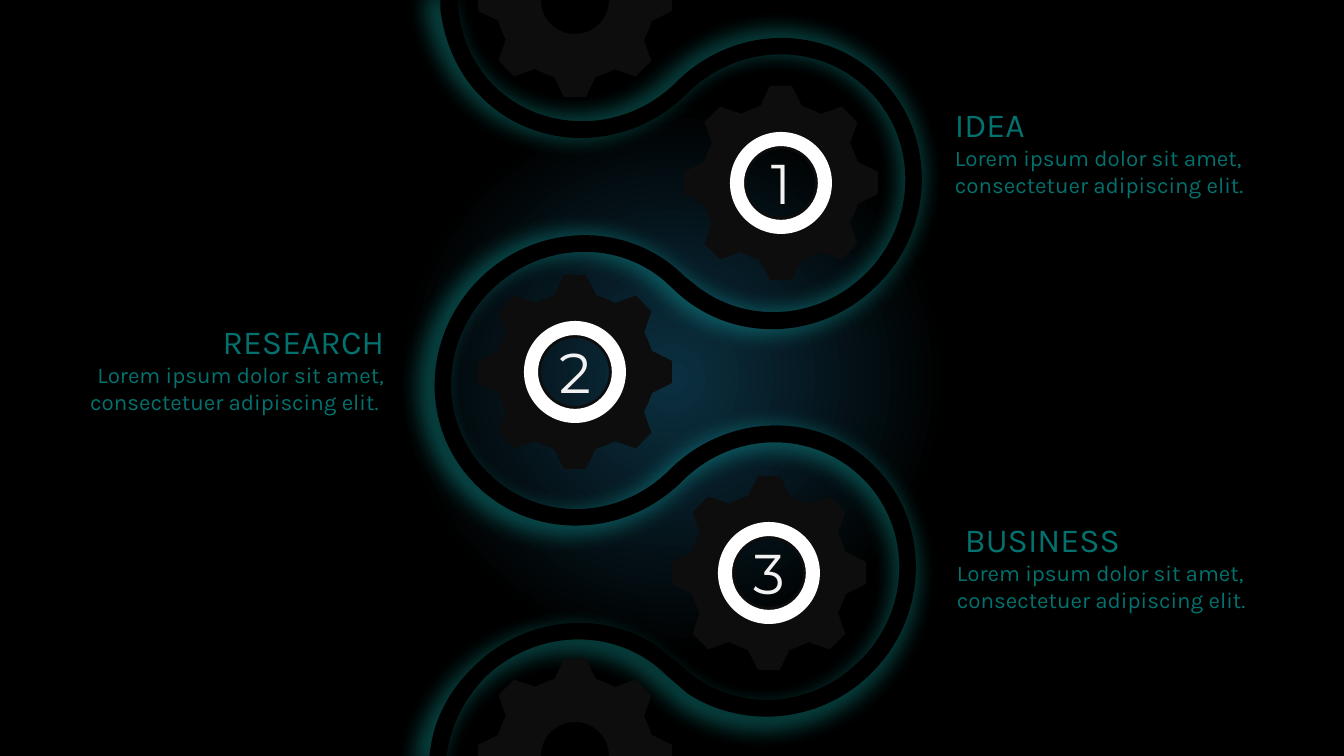
import math
from dataclasses import dataclass

from lxml import etree
from pptx import Presentation
from pptx import slide as sld
from pptx import util as u
from pptx.dml.color import RGBColor
from pptx.enum import shapes, text
from pptx.oxml.ns import qn

PX = 914400 / 100.8  # EMU per px
WIDTH, HEIGHT = 1344, 756

BLACK = RGBColor(0x00, 0x00, 0x00)
NAVY = RGBColor(0x0B, 0x30, 0x41)
GLOW = RGBColor(0x1A, 0xFA, 0xF3)
COAL = RGBColor(0x0D, 0x0D, 0x0D)
TEAL = RGBColor(0x03, 0x71, 0x6E)
WHITE = RGBColor(0xFF, 0xFF, 0xFF)
PALE = RGBColor(0xF2, 0xF2, 0xF2)

LEFT, CENTER, RIGHT = text.PP_ALIGN.LEFT, text.PP_ALIGN.CENTER, text.PP_ALIGN.RIGHT
LOREM = "Lorem ipsum dolor sit amet, consectetuer adipiscing elit."

Point = tuple[float, float]
Segment = tuple[float, ...]  # a pair is a line end, six numbers are a Bezier curve


@dataclass
class Step:
    number: str
    gear: tuple[int, int]
    label: tuple[int, int]
    heading: str
    body: str = LOREM
    align: text.PP_ALIGN = LEFT


@dataclass
class Line:
    content: str
    size: int
    font: str
    color: RGBColor


STEPS = [
    Step("1", (781, 183), (945, 99), "IDEA"),
    Step("2", (575, 372), (41, 316), "RESEARCH", LOREM + " ", RIGHT),
    Step("3", (769, 573), (947, 514), " BUSINESS"),
]
EDGE_GEARS = [(575, 0), (575, HEIGHT)]

RIBBON_CENTER = (615, 377)
RIBBON_ANGLE = 45
RIBBON: list[Segment] = [
    (440, 0), (458, 0), (458, 7),
    (460, 35, 472, 64, 493, 85),
    (542, 134, 624, 133, 675, 83),
    (733, 24, 825, 23, 881, 79),
    (936, 135, 935, 227, 878, 284),
    (820, 343, 728, 344, 672, 288),
    (662, 279),
    (613, 239, 538, 243, 490, 291),
    (439, 342, 437, 423, 488, 473),
    (537, 522, 618, 521, 669, 470),
    (727, 412, 820, 410, 875, 467),
    (930, 522, 929, 615, 872, 672),
    (822, 723, 745, 730, 688, 694),
    (666, 675),
    (617, 626, 535, 628, 484, 678),
    (465, 698, 453, 721, 448, 746),
    (446, 756), (429, 756), (431, 743),
    (436, 715, 451, 688, 473, 667),
    (523, 617, 600, 609, 655, 645),
    (678, 663),
    (728, 713, 809, 712, 860, 660),
    (911, 610, 912, 528, 863, 479),
    (813, 429, 732, 430, 681, 482),
    (623, 539, 531, 540, 476, 485),
    (419, 429, 421, 337, 479, 279),
    (536, 222, 628, 220, 684, 276),
    (694, 284),
    (744, 325, 818, 321, 866, 273),
    (917, 222, 918, 140, 869, 91),
    (820, 41, 738, 42, 686, 94),
    (629, 151, 537, 153, 481, 97),
    (457, 73, 444, 41, 440, 9),
]

# Gear parts around its center, repeated by turning
TOOTH: list[Segment] = [(97, -11), (97, 11), (77, 21), (75, 27, 72, 34, 69, 40)]
HOLE_QUARTER: Segment = (34, -19, 19, -34, 0, -34)


def px(n: float) -> u.Emu:
    return u.Emu(round(n * PX))


def pairs(segment: Segment) -> list[Point]:
    return list(zip(segment[::2], segment[1::2]))


def rotate(segment: Segment, degrees: float, center: Point = (0, 0)) -> Segment:
    cos, sin = math.cos(math.radians(degrees)), math.sin(math.radians(degrees))
    cx, cy = center
    turned = [(cx + (x - cx) * cos - (y - cy) * sin, cy + (x - cx) * sin + (y - cy) * cos)
              for x, y in pairs(segment)]
    return tuple(n for point in turned for n in point)


def move(segment: Segment, offset: Point) -> Segment:
    return tuple(n + offset[i % 2] for i, n in enumerate(segment))


def paint(sp, color: RGBColor) -> None:
    sp.fill.solid()
    sp.fill.fore_color.rgb = color
    sp.line.fill.background()
    sp.shadow.inherit = False


def add_outline(s: sld.Slide, contours: list[list[Segment]], color: RGBColor):
    fb = None
    for contour in contours:
        first, *rest = [(px(seg[-2]), px(seg[-1])) for seg in contour]
        if fb is None:
            fb = s.shapes.build_freeform(*first)
        else:
            fb.move_to(*first)
        fb.add_line_segments(rest, close=True)
    sp = fb.convert_to_shape()

    # Bend the segments that have control points
    segments = [seg for contour in contours for seg in contour[1:]]
    for node, seg in zip(list(sp._element.iter(qn("a:lnTo"))), segments):
        if len(seg) == 6:
            node.tag = qn("a:cubicBezTo")
            for i, (x, y) in enumerate(pairs(seg)[:2]):
                pt = etree.Element(qn("a:pt"), x=str(px(x) - sp.left), y=str(px(y) - sp.top))
                node.insert(i, pt)
    paint(sp, color)
    return sp


def add_ribbon(s: sld.Slide) -> None:
    outline = [rotate(seg, -RIBBON_ANGLE, RIBBON_CENTER) for seg in RIBBON]
    sp = add_outline(s, [outline], BLACK)
    sp.rotation = RIBBON_ANGLE
    effects = sp._element.spPr.find(qn("a:effectLst"))
    shadow = etree.SubElement(effects, qn("a:outerShdw"), blurRad=str(int(u.Pt(18))),
                              sx="102000", sy="102000", algn="ctr", rotWithShape="0")
    color = etree.SubElement(shadow, qn("a:srgbClr"), val=str(GLOW))
    etree.SubElement(color, qn("a:alpha"), val="40000")


def add_gear(s: sld.Slide, center: tuple[int, int]) -> None:
    rim = [(77, -21)] + [rotate(seg, 45 * i) for i in range(8) for seg in TOOTH]
    hole = [(34, 0)] + [rotate(HOLE_QUARTER, -90 * i) for i in range(4)]
    add_outline(s, [[move(seg, center) for seg in c] for c in (rim, hole)], COAL)


def add_ring(s: sld.Slide, center: tuple[int, int], size: int = 102) -> None:
    sp = s.shapes.add_shape(shapes.MSO_SHAPE.DONUT, px(center[0] - size // 2),
                            px(center[1] - size // 2), px(size), px(size))
    sp.adjustments[0] = 0.138
    paint(sp, WHITE)


def add_text(s: sld.Slide, lines: list[Line], *, left: int, top: int, width: int,
             height: int, align: text.PP_ALIGN) -> None:
    tf = s.shapes.add_textbox(px(left), px(top), px(width), px(height)).text_frame
    tf.word_wrap = True
    tf.auto_size = text.MSO_AUTO_SIZE.SHAPE_TO_FIT_TEXT
    for i, line in enumerate(lines):
        p = tf.add_paragraph() if i else tf.paragraphs[0]
        p.alignment = align
        r = p.add_run()
        r.text = line.content
        r.font.size = u.Pt(line.size)
        r.font.name = line.font
        r.font.color.rgb = line.color


def set_background(s: sld.Slide) -> None:
    fill = s.background.fill
    fill.gradient()
    for stop, color, position in zip(fill.gradient_stops, (NAVY, BLACK), (0, 0.36)):
        stop.color.rgb = color
        stop.position = position
    grad = next(s._element.iter(qn("a:gradFill")))
    grad.remove(grad.find(qn("a:lin")))
    circle = etree.SubElement(grad, qn("a:path"), path="circle")
    etree.SubElement(circle, qn("a:fillToRect"), l="50000", t="50000", r="50000", b="50000")


def main() -> None:
    prs = Presentation()
    prs.slide_width, prs.slide_height = px(WIDTH), px(HEIGHT)
    s = prs.slides.add_slide(prs.slide_layouts[6])
    set_background(s)

    # Ribbon, gears and rings
    add_ribbon(s)
    for center in [step.gear for step in STEPS] + EDGE_GEARS:
        add_gear(s, center)
    for step in STEPS:
        add_ring(s, step.gear)

    # Labels and numbers
    for step in STEPS:
        add_text(s, [Line(step.heading, 24, "Karla", TEAL), Line(step.body, 16, "Karla", TEAL)],
                 left=step.label[0], top=step.label[1], width=353, height=136, align=step.align)
        add_text(s, [Line(step.number, 40, "Montserrat", PALE)], left=step.gear[0] - 44,
                 top=step.gear[1] - 39, width=88, height=78, align=CENTER)
    prs.save("out.pptx")


if __name__ == "__main__":
    main()
